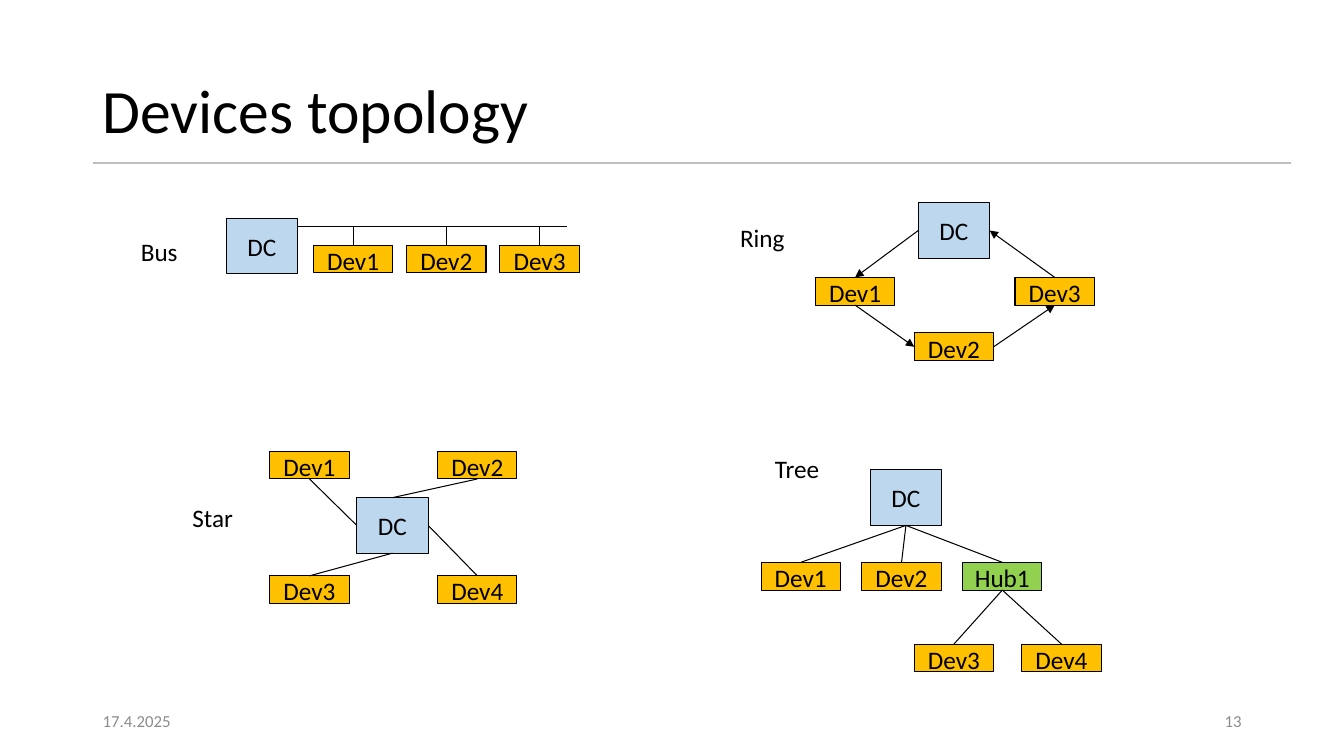
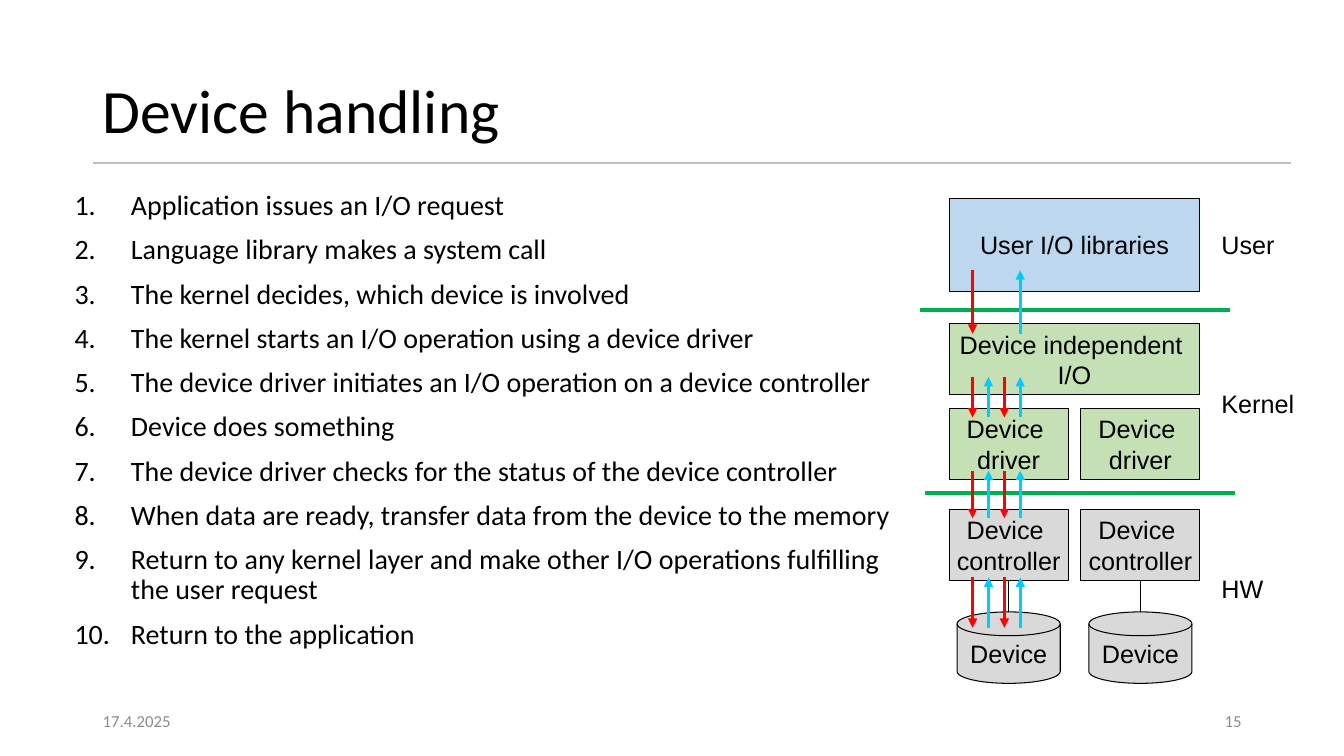
import lxml.etree
import pptx
import pptx.dml.color
import pptx.enum.shapes
import pptx.enum.text
import pptx.oxml.ns
import pptx.util

BLACK, GREY, RULE = "000000", "8C8C8C", "BFBFBF"
BLUE, AMBER, LIME = "BDD7EE", "FFC000", "92D050"
LEAF, STEEL, GREEN = "C5E0B4", "D9D9D9", "00B050"
RED, CYAN = "FF0000", "00CCFF"
TOP, LEFT, BOTTOM, RIGHT = range(4)
DEV_W, DEV_H = 2, 0.7
ALIGN = pptx.enum.text.PP_ALIGN
ANCHOR = pptx.enum.text.MSO_ANCHOR
SHAPE = pptx.enum.shapes.MSO_SHAPE
STEPS = [
    "Application issues an I/O request",
    "Language library makes a system call",
    "The kernel decides, which device is involved",
    "The kernel starts an I/O operation using a device driver",
    "The device driver initiates an I/O operation on a device controller",
    "Device does something",
    "The device driver checks for the status of the device controller",
    "When data are ready, transfer data from the device to the memory",
    "Return to any kernel layer and make other I/O operations fulfilling the user request",
    "Return to the application",
]


def tint(code):
    return pptx.dml.color.RGBColor.from_string(code)


def add(parent, tag, **attrs):
    return lxml.etree.SubElement(parent, pptx.oxml.ns.qn(tag), **attrs)


class Deck:
    """Hold the shared style and the current slide."""

    def __init__(self):
        self.file = pptx.Presentation()
        self.file.slide_width = pptx.util.Cm(33.87)
        self.file.slide_height = pptx.util.Cm(19.05)

    def start(self, title, number, font):
        self.slide = self.file.slides.add_slide(self.file.slide_layouts[6])
        self.font = "Calibri"
        self.line(32.54, 4.11, 2.34, 4.11, RULE, 1)
        head = self.text(title, 2.34, 1.02, 27, 3.68, 44, anchor=ANCHOR.MIDDLE)
        head.paragraphs[0].line_spacing = 0.9
        for note, x, align in (("17.4.2025", 2.34, ALIGN.LEFT), (number, 23.92, ALIGN.RIGHT)):
            self.text(note, x, 17.66, 7.62, 1.01, 12, GREY, align, ANCHOR.MIDDLE)
        self.font = font

    def style(self, frame, size=18, color=BLACK, align=ALIGN.LEFT):
        for para in frame.paragraphs:
            para.alignment = align
            for run in para.runs:
                run.font.name = self.font
                run.font.size = pptx.util.Pt(size)
                run.font.color.rgb = tint(color)

    def text(self, words, x, y, w=3, h=1.01, size=18, color=BLACK,
             align=ALIGN.LEFT, anchor=ANCHOR.TOP):
        place = map(pptx.util.Cm, (x, y, w, h))
        frame = self.slide.shapes.add_textbox(*place).text_frame
        frame.word_wrap = True
        frame.vertical_anchor = anchor
        frame.text = words
        self.style(frame, size, color, align)
        return frame

    def steps(self, items, x, y, w, h):
        frame = self.text("\n".join(items), x, y, w, h, 20)
        hang = pptx.util.Cm(1.42)
        for i, para in enumerate(frame.paragraphs):
            props = para._p.get_or_add_pPr()
            props.set("marL", str(hang))
            props.set("indent", str(-hang))
            add(props, "a:buAutoNum", type="arabicPeriod")
            para.line_spacing = 0.9
            para.space_before = pptx.util.Pt(10 if i else 0)

    def box(self, words, x, y, w, h, fill, kind=SHAPE.RECTANGLE):
        shape = self.slide.shapes.add_shape(kind, *map(pptx.util.Cm, (x, y, w, h)))
        shape.shadow.inherit = False
        shape.fill.solid()
        shape.fill.fore_color.rgb = tint(fill)
        shape.line.color.rgb = tint(BLACK)
        shape.line.width = pptx.util.Pt(0.75)
        frame = shape.text_frame
        frame.word_wrap = False
        frame.vertical_anchor = ANCHOR.MIDDLE
        frame.text = words
        self.style(frame, align=ALIGN.CENTER)
        return shape

    def host(self, x, y):
        return self.box("DC", x, y, 1.8, 1.4, BLUE)

    def node(self, words, x, y, fill=AMBER):
        shape = self.box(words, x, y, DEV_W, DEV_H, fill)
        frame = shape.text_frame
        frame.vertical_anchor = ANCHOR.TOP
        frame.margin_top = frame.margin_bottom = 0
        return shape

    def line(self, x1, y1, x2, y2, color=BLACK, width=0.75, arrow=False):
        ends = map(pptx.util.Cm, (x1, y1, x2, y2))
        link = self.slide.shapes.add_connector(
            pptx.enum.shapes.MSO_CONNECTOR.STRAIGHT, *ends)
        link.line.color.rgb = tint(color)
        link.line.width = pptx.util.Pt(width)
        props = link.element.spPr
        if arrow:
            add(props.find(pptx.oxml.ns.qn("a:ln")), "a:tailEnd", type="triangle")
        add(props, "a:effectLst")
        return link

    def join(self, first, side, last, end, arrow=False):
        link = self.line(0, 0, 1, 1, arrow=arrow)
        link.begin_connect(first, side)
        link.end_connect(last, end)


def draw_bus(deck):
    deck.text("Bus", 3.3, 5.84)
    deck.host(5.7, 5.5)
    deck.line(7.5, 5.7, 14.3, 5.7)
    for i in range(3):
        x = 7.9 + 2.35 * i
        node = deck.node(f"Dev{i + 1}", x, 6.18)
        mid = x + DEV_W / 2
        deck.line(mid, 6.18, mid, 5.7).begin_connect(node, TOP)


def draw_ring(deck):
    deck.text("Ring", 18.4, 5.48)
    host = deck.host(23.14, 5.11)
    one = deck.node("Dev1", 20.55, 6.99)
    two = deck.node("Dev2", 23.04, 8.39)
    three = deck.node("Dev3", 25.58, 6.99)
    for pair in ((host, LEFT, one, TOP), (one, BOTTOM, two, LEFT),
                 (two, RIGHT, three, BOTTOM), (three, TOP, host, RIGHT)):
        deck.join(*pair, arrow=True)


def draw_star(deck):
    deck.text("Star", 4.6, 12.54)
    host = deck.host(8.99, 12.54)
    sides = ((LEFT, BOTTOM), (TOP, BOTTOM), (BOTTOM, TOP), (RIGHT, TOP))
    for i, (side, end) in enumerate(sides):
        node = deck.node(f"Dev{i + 1}", (6.8, 11.03)[i % 2], (11.37, 14.51)[i // 2])
        deck.join(host, side, node, end)


def draw_tree(deck):
    deck.text("Tree", 19.28, 11.3)
    host = deck.host(21.93, 11.84)
    for i, (words, fill) in enumerate((("Dev1", AMBER), ("Dev2", AMBER), ("Hub1", LIME))):
        node = deck.node(words, 19.18 + 2.54 * i, 14.17, fill)
        deck.join(host, BOTTOM, node, TOP)
    hub = node
    for words, x in (("Dev3", 23.04), ("Dev4", 25.75)):
        deck.join(hub, BOTTOM, deck.node(words, x, 16.23), TOP)


def draw_stack(deck):
    x = 23.92
    deck.box("User I/O libraries", x, 5, 6.32, 2.34, BLUE)
    deck.box("Device independent \vI/O", x, 8.15, 6.32, 1.8, LEAF)
    for left in (x, x + 3.32):
        deck.box("Device \vdriver", left, 10.29, 3, 1.8, LEAF)
        chip = deck.box("Device \vcontroller", left, 12.83, 3, 1.8, STEEL)
        deck.box("Device", left + 0.2, 15.42, 2.6, 1.8, STEEL, SHAPE.FLOWCHART_MAGNETIC_DISK)
        mid = left + 1.5
        deck.line(mid, 14.63, mid, 15.42).begin_connect(chip, BOTTOM)
    for left, y in ((23.19, 7.82), (23.32, 12.42)):
        deck.line(left, y, left + 7.8, y, GREEN, 3)
    for words, y in (("User", 5.66), ("Kernel", 9.65), ("HW", 14.33)):
        deck.text(words, 30.53, y)
    lanes = range(4)
    for high, low, used in ((6.81, 8.41, (0, 3)), (9.5, 10.52, lanes),
                            (11.86, 13.06, lanes), (14.55, 15.82, lanes)):
        for i in used:
            lane = 24.51 + 0.4 * i
            if i % 2:
                deck.line(lane, low, lane, high, CYAN, 2.25, True)
            else:
                deck.line(lane, high, lane, low, RED, 2.25, True)


def main():
    deck = Deck()
    deck.start("Devices topology", "13", "Calibri")
    for draw in (draw_bus, draw_ring, draw_star, draw_tree):
        draw(deck)
    deck.start("Device handling", "15", "Calibri")
    deck.steps(STEPS, 1.63, 4.7, 21.56, 12.52)
    deck.font = "Arial"
    draw_stack(deck)
    deck.file.save("out.pptx")


if __name__ == "__main__":
    main()
